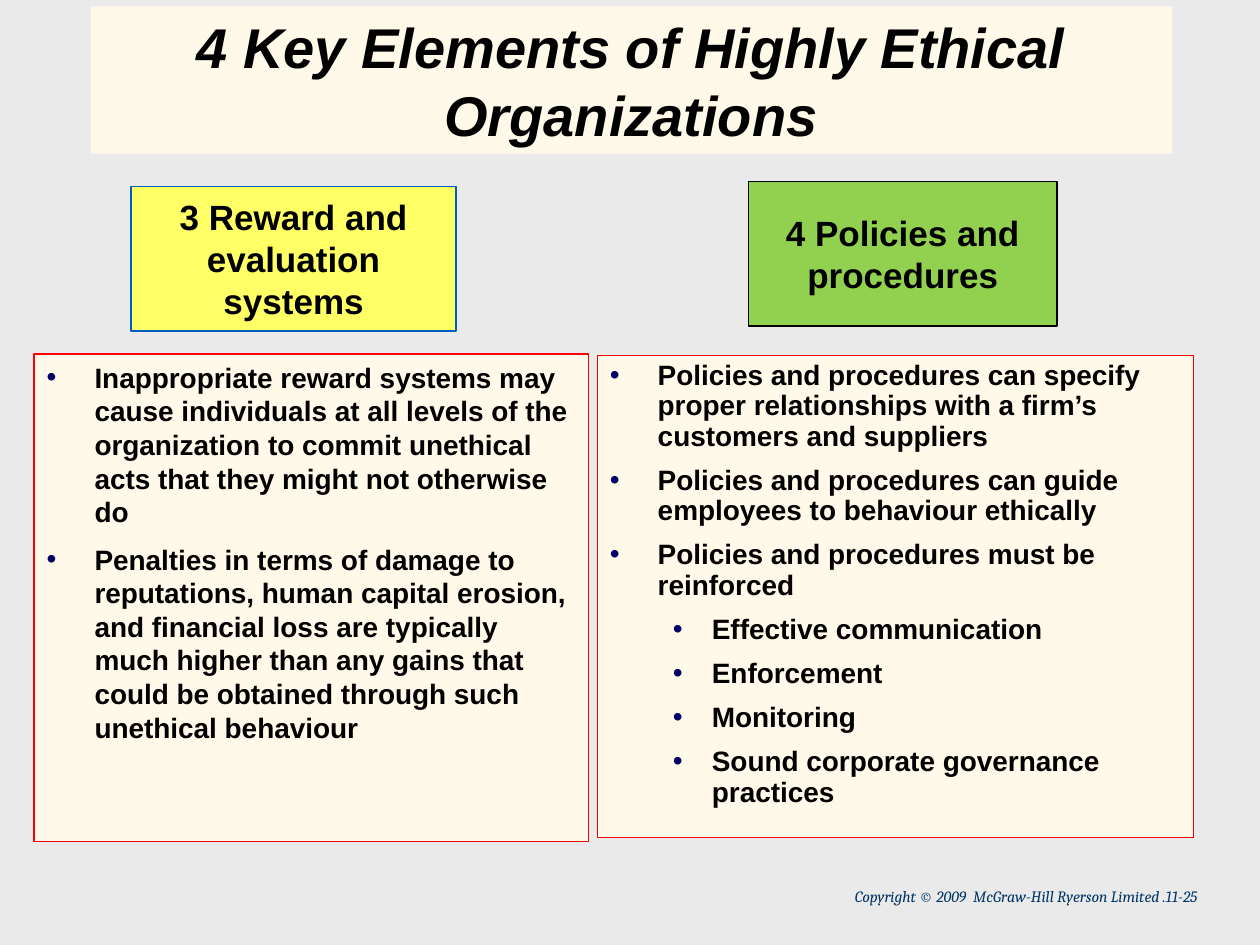
"""Build the slide on key elements of highly ethical organizations."""
from lxml import etree
from pptx import Presentation
from pptx import util as u
from pptx.dml.color import RGBColor
from pptx.enum import shapes, text
from pptx.oxml.ns import qn

HUES = {"back": "EAEAEA", "cream": "FFF9E9", "black": "000000", "red": "FF0000",
        "navy": "000066", "yellow": "FFFF66", "blue": "005EC0",
        "green": "92D050", "foot": "003366"}
TITLE = "4 Key Elements of Highly Ethical Organizations"
FOOT = "Copyright © 2009  McGraw-Hill Ryerson Limited .11-25"
HEADS = [
    ((1.04, 1.48, 2.58, 1.15), "yellow", "blue", ["3 Reward and evaluation", "systems"]),
    ((5.94, 1.44, 2.45, 1.15), "green", "black", ["4 Policies and procedures"]),
]
LISTS = [
    ((0.27, 2.81, 4.4, 3.87), 1.0, [
        (0, "Inappropriate reward systems may cause individuals at all levels of the "
            "organization to commit unethical acts that they might not otherwise do"),
        (0, "Penalties in terms of damage to reputations, human capital erosion, and "
            "financial loss are typically much higher than any gains that could be "
            "obtained through such unethical behaviour")]),
    ((4.74, 2.82, 4.73, 3.83), 0.9, [
        (0, "Policies and procedures can specify proper relationships with a firm’s "
            "customers and suppliers"),
        (0, "Policies and procedures can guide employees to behaviour ethically"),
        (0, "Policies and procedures must be reinforced"),
        (1, "Effective communication"),
        (1, "Enforcement"),
        (1, "Monitoring"),
        (1, "Sound corporate governance practices")]),
]
INDENTS = [(0.38, -0.38), (0.81, -0.31)]


def hue(name):
    return RGBColor.from_string(HUES[name])


def place(shape, box):
    shape.left, shape.top, shape.width, shape.height = map(u.Inches, box)


def paint(shape, fill, line=None, width=1):
    shape.fill.solid()
    shape.fill.fore_color.rgb = hue(fill)
    if line:
        shape.line.color.rgb = hue(line)
        shape.line.width = u.Pt(width)


def write(shape, lines, size, align, anchor, color="black", face="Arial",
          bold=True, slant=False):
    frame = shape.text_frame
    frame.text = "\n".join(lines)
    frame.word_wrap = True
    frame.auto_size = text.MSO_AUTO_SIZE.NONE
    frame.vertical_anchor = anchor
    for para in frame.paragraphs:
        para.alignment = align
        for run in para.runs:
            font = run.font
            font.name, font.size = face, u.Pt(size)
            font.bold, font.italic = bold, slant
            font.color.rgb = hue(color)
    return frame


def bullet(para, level):
    para.level = level
    props = para._p.get_or_add_pPr()
    left, hang = INDENTS[level]
    props.set("marL", str(u.Inches(left)))
    props.set("indent", str(u.Inches(hang)))
    tint = etree.SubElement(props, qn("a:buClr"))
    etree.SubElement(tint, qn("a:srgbClr"), val=HUES["navy"])
    etree.SubElement(props, qn("a:buFont"), typeface="Arial")
    etree.SubElement(props, qn("a:buChar"), char="•")


def main():
    deck = Presentation()
    deck.slide_width, deck.slide_height = u.Inches(10), u.Inches(7.5)
    slide = deck.slides.add_slide(deck.slide_layouts[3])
    slide.background.fill.solid()
    slide.background.fill.fore_color.rgb = hue("back")
    align, anchor = text.PP_ALIGN, text.MSO_ANCHOR

    title = slide.shapes.title
    place(title, (0.72, 0.05, 8.58, 1.17))
    paint(title, "cream")
    write(title, [TITLE], 32, align.CENTER, anchor.BOTTOM, slant=True)

    for slot, (box, pitch, items) in enumerate(LISTS, 1):
        body = slide.placeholders[slot]
        place(body, box)
        paint(body, "cream", "red", 0.75)
        frame = write(body, [item for _, item in items], 16, align.LEFT, anchor.TOP)
        for row, (para, (level, _)) in enumerate(zip(frame.paragraphs, items)):
            bullet(para, level)
            para.line_spacing = pitch
            para.space_before = u.Pt(8 if row else 0)

    for box, fill, line, lines in HEADS:
        head = slide.shapes.add_shape(shapes.MSO_SHAPE.RECTANGLE, *map(u.Inches, box))
        head.shadow.inherit = False
        paint(head, fill, line)
        frame = write(head, lines, 20, align.CENTER, anchor.MIDDLE)
        frame.margin_left = frame.margin_right = 0
        frame.margin_top = frame.margin_bottom = 0

    foot = slide.shapes.add_textbox(*map(u.Inches, (5.02, 6.99, 4.58, 0.27)))
    write(foot, [FOOT], 9, align.RIGHT, anchor.TOP, "foot", "Cambria", False, True)
    deck.save("out.pptx")


if __name__ == "__main__":
    main()
